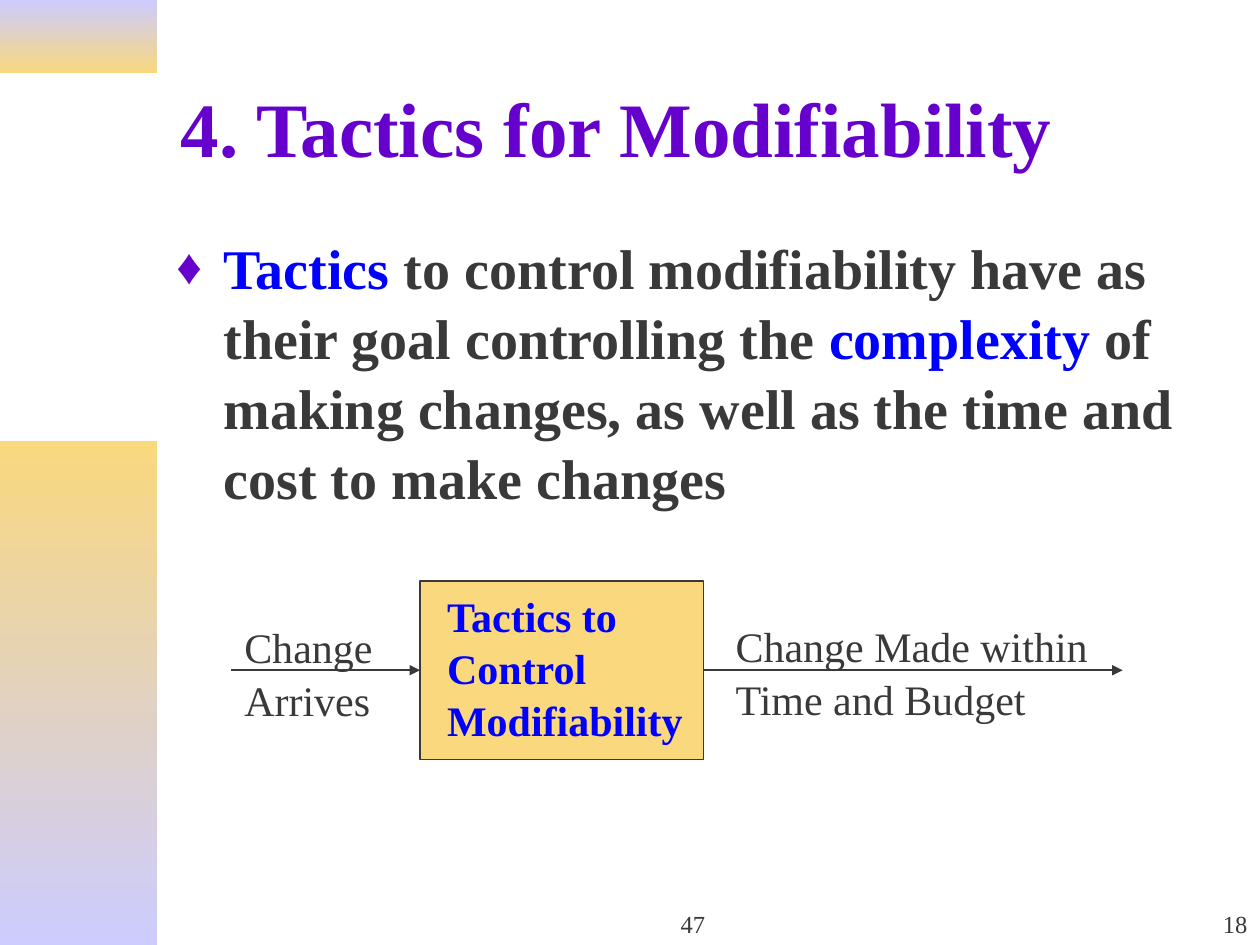
from lxml import etree
from pptx import Presentation
from pptx.dml.color import RGBColor
from pptx.enum.shapes import MSO_CONNECTOR, MSO_SHAPE
from pptx.enum.text import MSO_ANCHOR, MSO_AUTO_SIZE, PP_ALIGN
from pptx.oxml.ns import qn
from pptx.util import Pt

RECTANGLE = MSO_SHAPE.RECTANGLE
STRAIGHT = MSO_CONNECTOR.STRAIGHT
TOP, MIDDLE, BOTTOM = MSO_ANCHOR.TOP, MSO_ANCHOR.MIDDLE, MSO_ANCHOR.BOTTOM
LEFT, CENTER, RIGHT = PP_ALIGN.LEFT, PP_ALIGN.CENTER, PP_ALIGN.RIGHT
NO_AUTOFIT = MSO_AUTO_SIZE.NONE
LEFT_SIDE, RIGHT_SIDE = 1, 3

PURPLE = RGBColor(0x66, 0x00, 0xCC)
BLUE = RGBColor(0x00, 0x00, 0xFF)
GRAY = RGBColor(0x39, 0x39, 0x39)
GOLD = RGBColor(0xF9, 0xD8, 0x7E)
LAVENDER = RGBColor(0xCC, 0xCC, 0xFF)


def add_text(paragraph, text, size=24, color=GRAY, bold=False, font="Times New Roman"):
    run = paragraph.add_run()
    run.text = text
    run.font.name = font
    run.font.size = Pt(size)
    run.font.bold = bold
    run.font.color.rgb = color


class SlideBuilder:
    line_spacing = 1.04

    def __init__(self, slide):
        self.slide = slide

    def place(self, shape, left, top, width, height):
        shape.left, shape.top = Pt(left), Pt(top)
        shape.width, shape.height = Pt(width), Pt(height)

    def prepare(self, shape, anchor=TOP, align=LEFT):
        frame = shape.text_frame
        frame.word_wrap = True
        frame.auto_size = NO_AUTOFIT
        frame.vertical_anchor = anchor
        paragraph = frame.paragraphs[0]
        paragraph.alignment = align
        paragraph.line_spacing = self.line_spacing
        paragraph.space_before = Pt(0)
        return paragraph

    def title(self, text, bounds):
        shape = self.slide.shapes.title
        self.place(shape, *bounds)
        add_text(self.prepare(shape, MIDDLE), text, size=44, color=PURPLE, bold=True)

    def bullet(self, pieces, bounds):
        shape = self.slide.placeholders[1]
        self.place(shape, *bounds)
        paragraph = self.prepare(shape)
        properties = paragraph._p.get_or_add_pPr()
        properties.set("marL", str(Pt(27)))
        properties.set("indent", str(Pt(-27)))
        bullet_color = etree.SubElement(properties, qn("a:buClr"))
        etree.SubElement(bullet_color, qn("a:srgbClr"), val=str(PURPLE))
        etree.SubElement(properties, qn("a:buSzPct"), val="90000")
        etree.SubElement(properties, qn("a:buFont"), typeface="Times New Roman")
        etree.SubElement(properties, qn("a:buChar"), char="♦")
        for text, color in pieces:
            add_text(paragraph, text, size=32, color=color, bold=True)

    def label(self, text, bounds, anchor=TOP, align=LEFT, **style):
        shape = self.slide.shapes.add_textbox(*map(Pt, bounds))
        add_text(self.prepare(shape, anchor, align), text, **style)

    def rectangle(self, bounds):
        shape = self.slide.shapes.add_shape(RECTANGLE, *map(Pt, bounds))
        shape.shadow.inherit = False
        return shape

    def gradient_bar(self, bounds, top_color, bottom_color):
        shape = self.rectangle(bounds)
        shape.line.fill.background()
        shape.fill.gradient()
        shape.fill.gradient_angle = 270
        for stop, color in zip(shape.fill.gradient_stops, (top_color, bottom_color)):
            stop.color.rgb = color

    def box(self, bounds):
        shape = self.rectangle(bounds)
        shape.fill.solid()
        shape.fill.fore_color.rgb = GOLD
        shape.line.color.rgb = GRAY
        shape.line.width = Pt(1)
        return shape

    def arrow(self, start, end, y):
        connector = self.slide.shapes.add_connector(
            STRAIGHT, Pt(start), Pt(y), Pt(end), Pt(y))
        connector.line.color.rgb = GRAY
        connector.line.width = Pt(1)
        etree.SubElement(connector.line._get_or_add_ln(), qn("a:tailEnd"), type="triangle")
        etree.SubElement(connector._element.spPr, qn("a:effectLst"))
        return connector


def main():
    presentation = Presentation()
    presentation.slide_width, presentation.slide_height = Pt(720), Pt(540)
    slide = presentation.slides.add_slide(presentation.slide_layouts[1])
    builder = SlideBuilder(slide)

    builder.gradient_bar((0, 0, 90, 42), LAVENDER, GOLD)
    builder.gradient_bar((0, 252, 90, 288), GOLD, LAVENDER)
    builder.title("4. Tactics for Modifiability", (96, 24, 612, 95))
    builder.bullet([
        ("Tactics ", BLUE),
        ("to control modifiability have as their goal controlling the ", GRAY),
        ("complexity", BLUE),
        (" of making changes, as well as the time and cost to make changes", GRAY),
    ], (93.6, 128.5, 612, 164))

    builder.label("47", (282, 504, 228, 36), BOTTOM, CENTER, size=14)
    builder.label("18", (570, 504, 150, 36), BOTTOM, RIGHT, size=14)

    left, top, width, height = 240, 332, 162, 102
    middle = top + height / 2
    tactics_box = builder.box((left, top, width, height))
    incoming = builder.arrow(132, left, middle)
    incoming.end_connect(tactics_box, LEFT_SIDE)
    outgoing = builder.arrow(left + width, 641.5, middle)
    outgoing.begin_connect(tactics_box, RIGHT_SIDE)

    builder.label("Tactics to Control Modifiability", (248.4, 332.6, 151.2, 94),
                  color=BLUE, bold=True)
    builder.label("Change Arrives", (132.5, 350.6, 106.5, 65))
    builder.label("Change Made within Time and Budget", (413.3, 350, 219, 65))
    presentation.save("out.pptx")


if __name__ == "__main__":
    main()
